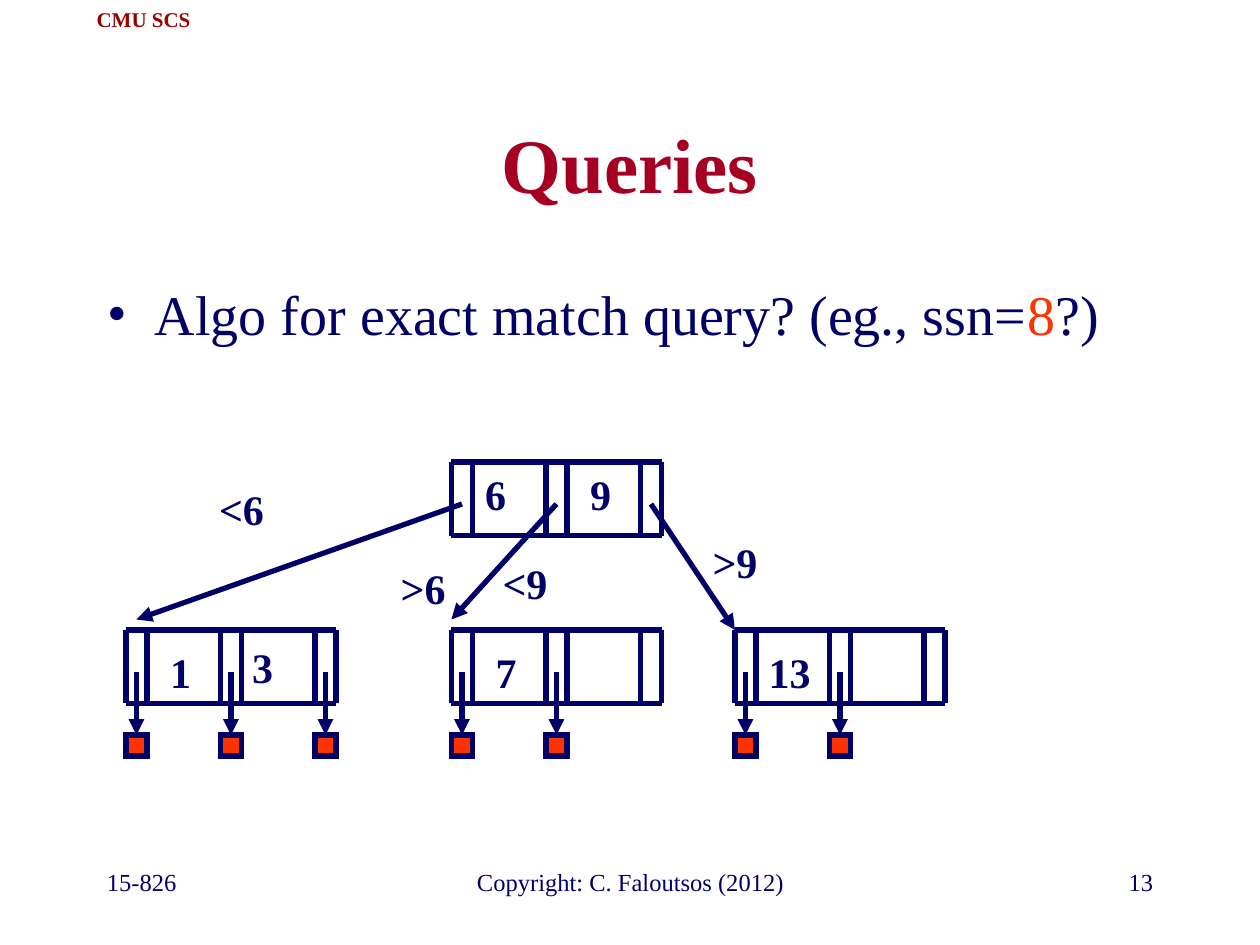
from lxml.etree import SubElement
from pptx import Presentation
from pptx.dml.color import RGBColor
from pptx.enum.shapes import MSO_CONNECTOR, MSO_SHAPE
from pptx.enum.text import MSO_ANCHOR, MSO_AUTO_SIZE, PP_ALIGN
from pptx.oxml.ns import qn
from pptx.util import Inches, Pt

NAVY, RED, MAROON, CRIMSON = "000066", "FF3300", "990000", "A50021"
FONT = "Times New Roman"
# Tree grid: twelve units to the inch
NODE_WIDTH, NODE_HEIGHT, SLOT, SLOT_STEP = 20, 7, 2, 9


def colour(value):
    return RGBColor.from_string(value)


def unit(count):
    return Inches(count / 12)


def add_span(para, text, size, value=NAVY, bold=False):
    span = para.add_run()
    span.text = text
    span.font.name = FONT
    span.font.size = Pt(size)
    span.font.bold = bold
    span.font.color.rgb = colour(value)


def add_text(page, box, text, size, align, value=NAVY, bold=False, wrap=True):
    frame = page.shapes.add_textbox(*box).text_frame
    frame.word_wrap = wrap
    if not wrap:
        frame.auto_size = MSO_AUTO_SIZE.SHAPE_TO_FIT_TEXT
    para = frame.paragraphs[0]
    para.alignment = align
    add_span(para, text, size, value, bold)


def add_line(page, start, end, arrow=False):
    line = page.shapes.add_connector(
        MSO_CONNECTOR.STRAIGHT, *map(unit, start), *map(unit, end))
    line.line.color.rgb = colour(NAVY)
    line.line.width = Pt(3)
    if arrow:
        SubElement(line.line._get_or_add_ln(), qn("a:tailEnd"), type="triangle")
    SubElement(line._element.spPr, qn("a:effectLst"))


def place(shape, box):
    shape.left, shape.top, shape.width, shape.height = box


def add_title(page, box):
    title = page.shapes.title
    place(title, box)
    title.text_frame.vertical_anchor = MSO_ANCHOR.MIDDLE
    para = title.text_frame.paragraphs[0]
    para.alignment = PP_ALIGN.CENTER
    add_span(para, "Queries", 44, CRIMSON, True)


def add_body(page, box):
    body = page.placeholders[1]
    place(body, box)
    body.text_frame.auto_size = MSO_AUTO_SIZE.NONE
    para = body.text_frame.paragraphs[0]
    props = para._p.get_or_add_pPr()
    props.set("marL", str(Inches(0.38)))
    props.set("indent", str(-Inches(0.38)))
    bullet_colour = SubElement(props, qn("a:buClr"))
    SubElement(bullet_colour, qn("a:srgbClr"), val=NAVY)
    SubElement(props, qn("a:buFont"), typeface=FONT)
    SubElement(props, qn("a:buChar"), char="•")
    para.space_before = Pt(0)
    add_span(para, "Algo for exact match query? (eg., ssn=", 32)
    add_span(para, "8", 32, RED)
    add_span(para, "?)", 32)


def add_record(page, x, y):
    record = page.shapes.add_shape(
        MSO_SHAPE.RECTANGLE, unit(x), unit(y), unit(SLOT), unit(SLOT))
    record.shadow.inherit = False
    record.fill.solid()
    record.fill.fore_color.rgb = colour(RED)
    record.line.color.rgb = colour(NAVY)
    record.line.width = Pt(3)
    SubElement(record.line._get_or_add_ln(), qn("a:miter"), lim="800000")


def add_node(page, left, top, records=0):
    """Draw a node of three pointer slots, with a record below each used slot."""
    right, bottom = left + NODE_WIDTH, top + NODE_HEIGHT
    for slot in range(3):
        for edge in (0, SLOT):
            x = left + slot * SLOT_STEP + edge
            add_line(page, (x, top), (x, bottom))
    for y in (top, bottom):
        add_line(page, (left, y), (right, y))
    for slot in range(records):
        x = left + slot * SLOT_STEP
        centre = x + SLOT / 2
        add_line(page, (centre, top + 4), (centre, top + 10), arrow=True)
        add_record(page, x, top + 10)


def add_tree(page, root, leaf_top, leaves, targets, labels):
    add_node(page, *root)
    for left, records in leaves:
        add_node(page, left, leaf_top, records)
    # Branches from the root's slots
    for slot, target in enumerate(targets):
        start = (root[0] + slot * SLOT_STEP + SLOT / 2, root[1] + 4)
        add_line(page, start, target, arrow=True)
    # Keys and branch conditions, centred on x
    for text, centre, top in labels:
        width = 2.4 + 2.2 * len(text)
        box = [unit(n) for n in (centre - width / 2, top, width, 6)]
        add_text(page, box, text, 24, PP_ALIGN.CENTER, bold=True, wrap=False)


def add_footer(page, left, top, width, height):
    parts = [
        (0, 0.245, "15-826", PP_ALIGN.LEFT),
        (0.314, 0.373, "Copyright: C. Faloutsos (2012)", PP_ALIGN.CENTER),
        (0.755, 0.245, "13", PP_ALIGN.RIGHT),
    ]
    for offset, share, text, align in parts:
        box = (left + int(width * offset), top, int(width * share), height)
        add_text(page, box, text, 14, align)


def main():
    deck = Presentation()
    deck.slide_width, deck.slide_height = Inches(10), Inches(7.5)
    page = deck.slides.add_slide(deck.slide_layouts[1])
    margin, width = Inches(0.75), Inches(8.5)

    # Header, title and question
    add_text(page, (Inches(0.66), 0, Inches(0.96), Inches(0.3)), "CMU SCS",
             12, PP_ALIGN.CENTER, MAROON, True, wrap=False)
    add_title(page, (margin, Inches(0.67), width, Inches(1.25)))
    add_body(page, (margin, Inches(2.17), width, Inches(4.5)))

    # Search tree
    add_tree(
        page, root=(43, 44), leaf_top=60,
        leaves=[(12, 3), (43, 2), (70, 2)],
        targets=[(13, 59), (43, 59), (70, 60)],
        labels=[("1", 17.2, 61), ("3", 25, 60.5), ("6", 47.2, 44),
                ("7", 48.2, 61), ("9", 57.2, 44), ("13", 75.2, 61),
                ("<6", 23, 45.5), (">6", 40.3, 53), ("<9", 50, 52.5),
                (">9", 70, 50.5)])

    add_footer(page, margin, Inches(6.83), width, Inches(0.5))
    deck.save("out.pptx")


if __name__ == "__main__":
    main()
